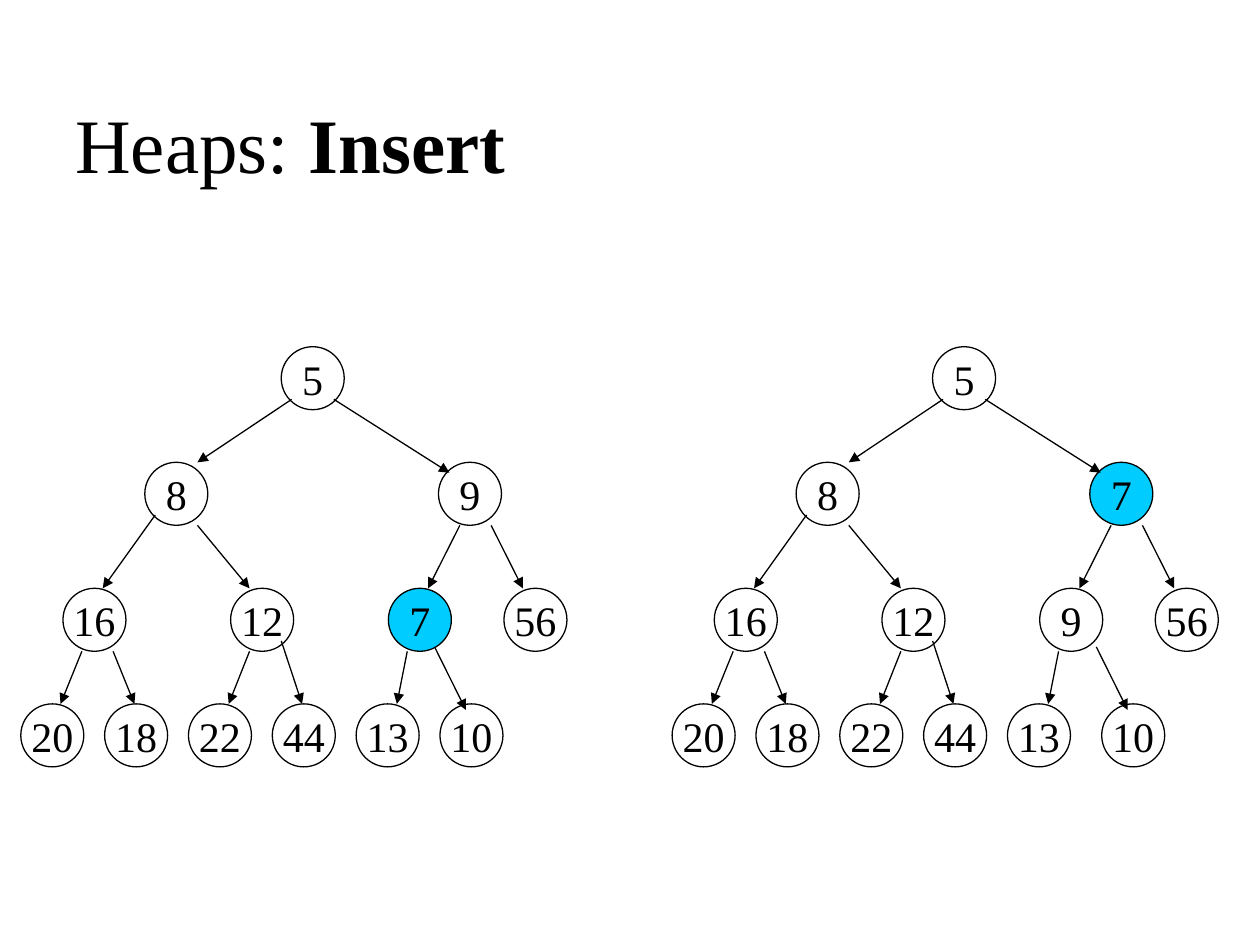
from lxml.etree import SubElement
from pptx import Presentation
from pptx.dml.color import RGBColor
from pptx.enum.dml import MSO_LINE
from pptx.enum.shapes import MSO_CONNECTOR, MSO_SHAPE
from pptx.enum.text import MSO_ANCHOR, PP_ALIGN
from pptx.oxml.ns import qn
from pptx.util import Cm, Pt

BLACK = RGBColor(0x00, 0x00, 0x00)
HIGHLIGHT = RGBColor(0x00, 0xCC, 0xFF)

NODE_SIZE = 1.27
LEAF_PITCH = 1.69
LEVEL_TOPS = [0, 2.33, 4.87, 7.2]
LEVEL_LEFTS = [
    [5.25],
    [2.5, 8.42],
    [0.85, 4.23, 7.41, 9.74],
    [LEAF_PITCH * leaf for leaf in range(6)],
]
EDGES = [
    (5.46, 1.06, 3.56, 2.33),
    (6.31, 1.06, 8.64, 2.54),
    (2.71, 3.39, 1.65, 4.87),
    (3.56, 3.6, 4.61, 4.87),
    (8.85, 3.6, 8.21, 4.87),
    (9.48, 3.6, 10.12, 4.87),
    (1.23, 6.14, 0.8, 7.2),
    (1.86, 6.14, 2.29, 7.2),
    (4.61, 6.14, 4.19, 7.2),
    (5.25, 5.93, 5.67, 7.2),
    (7.79, 6.14, 7.58, 7.2),
    (8.34, 6.05, 8.97, 7.32),
]
LEAVES = ["20", "18", "22", "44", "13", "10"]
LINE_FORMAT = {"width": Pt(0.75), "dash_style": MSO_LINE.SOLID}
NODE_FRAME = {"word_wrap": False, "vertical_anchor": MSO_ANCHOR.MIDDLE}
TITLE_FRAME = {"word_wrap": True, "vertical_anchor": MSO_ANCHOR.BOTTOM}
NODE_FONT = {"name": "Times New Roman", "size": Pt(24)}
TITLE_FONT = {"name": "Times New Roman", "size": Pt(44)}


def apply_format(target, values):
    """Set every attribute named in values on the target."""
    for attribute, value in values.items():
        setattr(target, attribute, value)


def style_line(line):
    """Give an outline or edge its thin black stroke."""
    line.color.rgb = BLACK
    apply_format(line, LINE_FORMAT)


def add_run(paragraph, text, font_format):
    """Append black text with the given font values."""
    run = paragraph.add_run()
    run.text = text
    apply_format(run.font, font_format)
    run.font.color.rgb = BLACK


def add_node(slide, left, top, key, highlighted):
    """Draw one heap node with its key."""
    node = slide.shapes.add_shape(
        MSO_SHAPE.OVAL, Cm(left), Cm(top), Cm(NODE_SIZE), Cm(NODE_SIZE))
    node.shadow.inherit = False
    if highlighted:
        node.fill.solid()
        node.fill.fore_color.rgb = HIGHLIGHT
    else:
        node.fill.background()
    style_line(node.line)
    apply_format(node.text_frame, NODE_FRAME)
    paragraph = node.text_frame.paragraphs[0]
    paragraph.alignment = PP_ALIGN.CENTER
    add_run(paragraph, key, NODE_FONT)


def add_edge(slide, start_x, start_y, end_x, end_y):
    """Draw an arrow from a parent to a child."""
    edge = slide.shapes.add_connector(
        MSO_CONNECTOR.STRAIGHT, Cm(start_x), Cm(start_y), Cm(end_x), Cm(end_y))
    style_line(edge.line)
    SubElement(edge.line._get_or_add_ln(), qn("a:tailEnd"), type="triangle")
    SubElement(edge._element.spPr, qn("a:effectLst"))


def add_heap(slide, left, top, levels, inserted, last_leaf_shift=0):
    """Draw a heap in the box at left, top, with the inserted key highlighted."""
    last_leaf = LEAVES[-1]
    for level_top, lefts, keys in zip(LEVEL_TOPS, LEVEL_LEFTS, levels):
        for node_left, key in zip(lefts, keys):
            shift = last_leaf_shift if key == last_leaf else 0
            add_node(slide, left + node_left + shift, top + level_top,
                     key, key == inserted)
    for edge in EDGES:
        shift = last_leaf_shift if edge == EDGES[-1] else 0
        start_x, start_y, end_x, end_y = edge
        add_edge(slide, left + start_x + shift, top + start_y,
                 left + end_x + shift, top + end_y)


def add_title(slide, left, top, width, height):
    """Write the slide title at the bottom of its box."""
    title = slide.shapes.add_textbox(Cm(left), Cm(top), Cm(width), Cm(height))
    apply_format(title.text_frame, TITLE_FRAME)
    paragraph = title.text_frame.paragraphs[0]
    add_run(paragraph, "Heaps: ", TITLE_FONT)
    add_run(paragraph, "Insert", {**TITLE_FONT, "bold": True})


def main():
    """Build the slide with the heap before and after the swap."""
    presentation = Presentation()
    apply_format(presentation, {"slide_width": Cm(25.4), "slide_height": Cm(19.05)})
    slide = presentation.slides.add_slide(presentation.slide_layouts[6])
    add_title(slide, 1.27, 0.76, 22.86, 3.18)
    before_swap = [["5"], ["8", "9"], ["16", "12", "7", "56"], LEAVES]
    after_swap = [["5"], ["8", "7"], ["16", "12", "9", "56"], LEAVES]
    add_heap(slide, 0.42, 6.99, before_swap, "7")
    add_heap(slide, 13.55, 6.99, after_swap, "7", last_leaf_shift=0.21)
    presentation.save("out.pptx")


if __name__ == "__main__":
    main()
